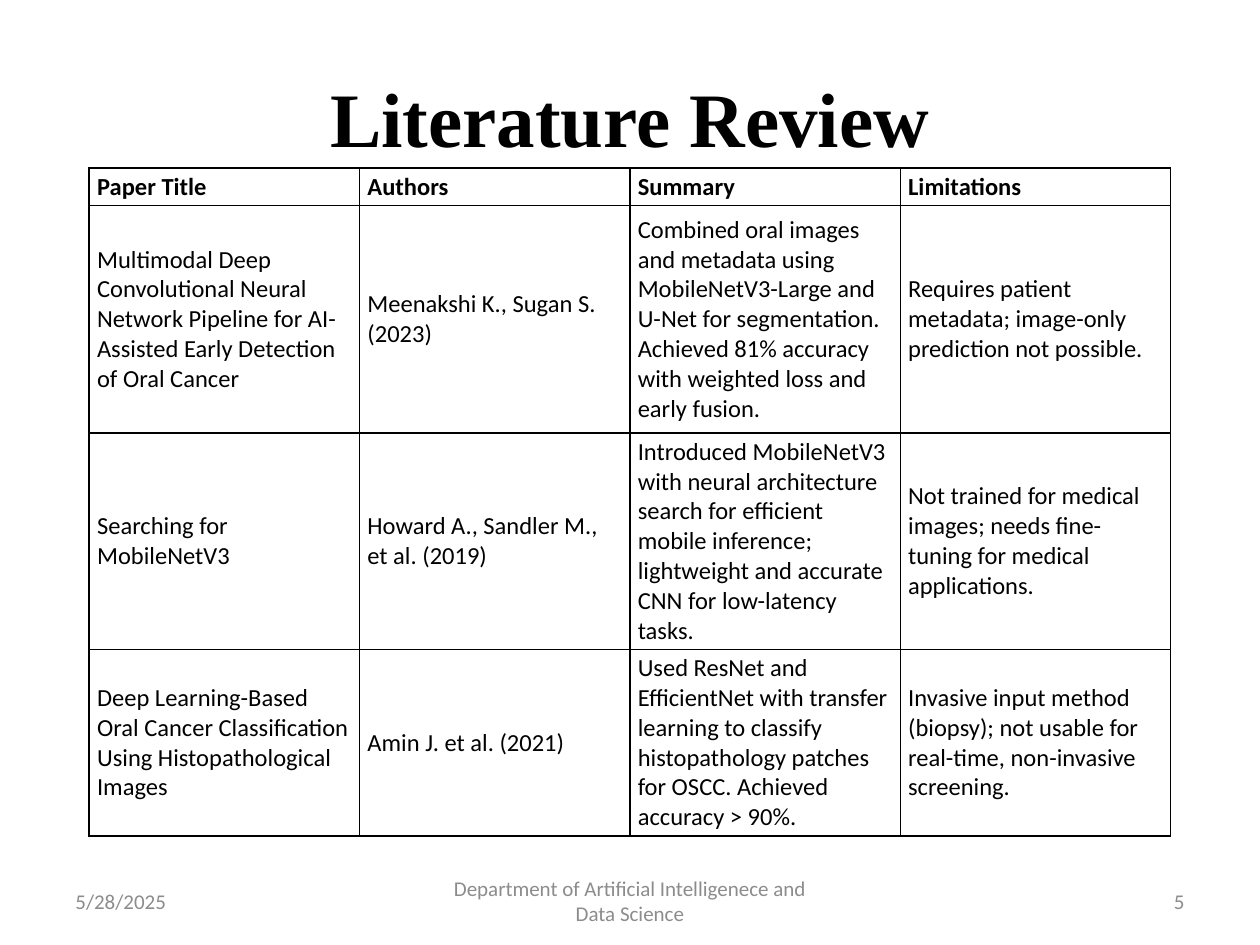
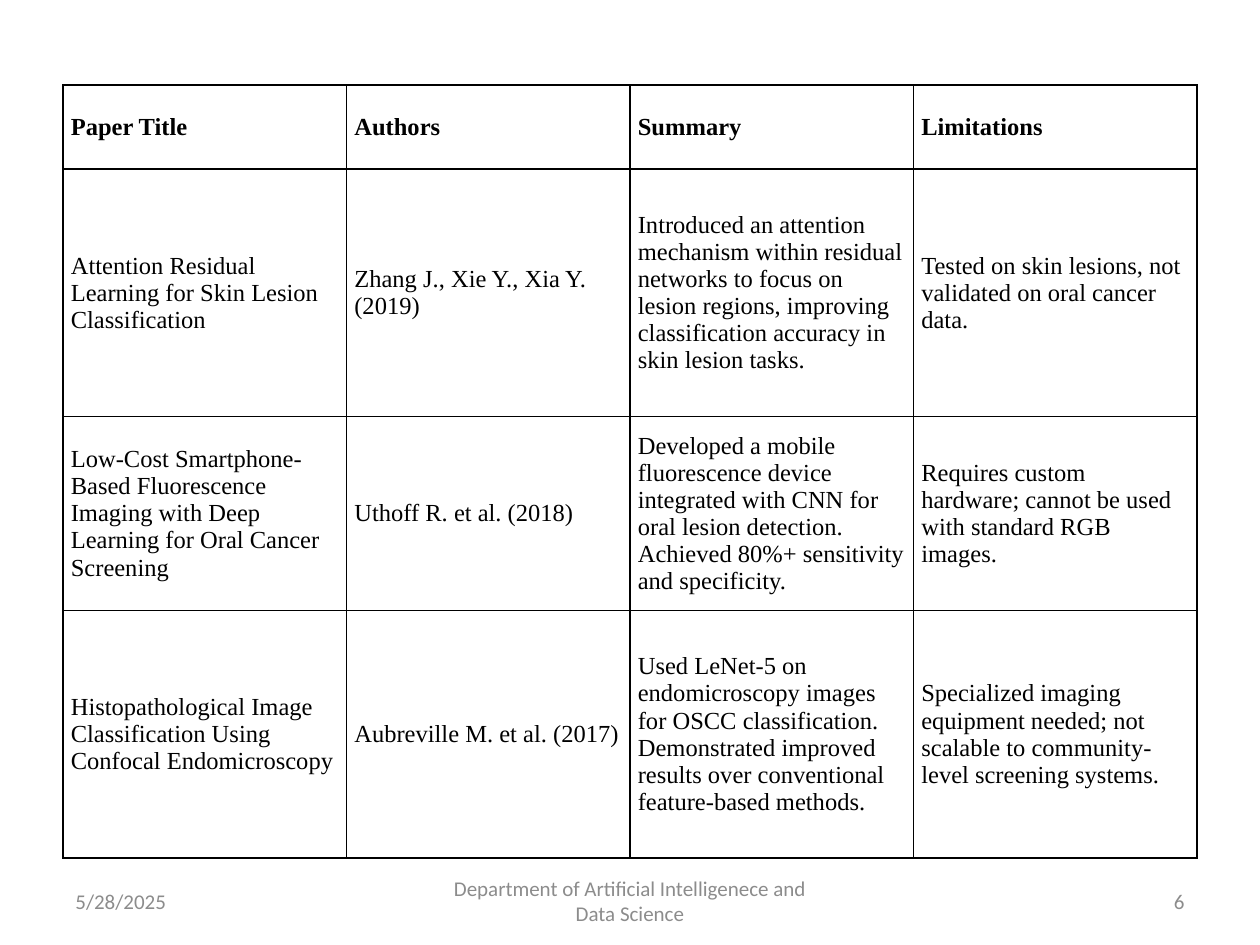
from lxml import etree
from pptx import Presentation
from pptx.dml.color import RGBColor
from pptx.enum.text import MSO_ANCHOR, PP_ALIGN
from pptx.oxml.ns import qn
from pptx.util import Pt

LEFT, CENTER, RIGHT = PP_ALIGN.LEFT, PP_ALIGN.CENTER, PP_ALIGN.RIGHT
MIDDLE = MSO_ANCHOR.MIDDLE
BLACK = RGBColor(0, 0, 0)
GRAY = RGBColor(0x8C, 0x8C, 0x8C)
SANS, SERIF = "Calibri", "Times New Roman"
TITLE_ONLY, BLANK = 5, 6

TITLE_FORMAT = {"size": Pt(44), "name": SERIF, "bold": True}
FOOTER_FORMAT = {"size": Pt(12), "name": SANS, "bold": False}
CELL_MARGINS = {"margin_left": Pt(4.5), "margin_right": Pt(4.5),
                "margin_top": Pt(2.2), "margin_bottom": Pt(2.2)}
HEADER = ("Paper Title", "Authors", "Summary", "Limitations")
DEPARTMENT = "Department of Artificial Intelligenece and Data Science"

SLIDES = [
    {
        "title": "Literature Review", "number": "5", "font": SANS,
        "left": 51, "top": 96, "col_width": 154.5,
        "row_heights": (21, 130, 123, 106),
        "papers": [
            ("Multimodal Deep Convolutional Neural Network Pipeline for AI-Assisted Early Detection of Oral Cancer",
             "Meenakshi K., Sugan S. (2023)",
             "Combined oral images and metadata using MobileNetV3-Large and U-Net for segmentation. "
             "Achieved 81% accuracy with weighted loss and early fusion.",
             "Requires patient metadata; image-only prediction not possible."),
            ("Searching for MobileNetV3",
             "Howard A., Sandler M., et al. (2019)",
             "Introduced MobileNetV3 with neural architecture search for efficient mobile inference; "
             "lightweight and accurate CNN for low-latency tasks.",
             "Not trained for medical images; needs fine-tuning for medical applications."),
            ("Deep Learning-Based Oral Cancer Classification Using Histopathological Images",
             "Amin J. et al. (2021)",
             "Used ResNet and EfficientNet with transfer learning to classify histopathology patches for OSCC. "
             "Achieved accuracy > 90%.",
             "Invasive input method (biopsy); not usable for real-time, non-invasive screening."),
        ],
    },
    {
        "title": None, "number": "6", "font": SERIF,
        "left": 36, "top": 48.7, "col_width": 162,
        "row_heights": (48, 141.3, 111, 141.3),
        "papers": [
            ("Attention Residual Learning for Skin Lesion Classification",
             "Zhang J., Xie Y., Xia Y. (2019)",
             "Introduced an attention mechanism within residual networks to focus on lesion regions, "
             "improving classification accuracy in skin lesion tasks.",
             "Tested on skin lesions, not validated on oral cancer data."),
            ("Low-Cost Smartphone-Based Fluorescence Imaging with Deep Learning for Oral Cancer Screening",
             "Uthoff R. et al. (2018)",
             "Developed a mobile fluorescence device integrated with CNN for oral lesion detection. "
             "Achieved 80%+ sensitivity and specificity.",
             "Requires custom hardware; cannot be used with standard RGB images."),
            ("Histopathological Image Classification Using Confocal Endomicroscopy",
             "Aubreville M. et al. (2017)",
             "Used LeNet-5 on endomicroscopy images for OSCC classification. "
             "Demonstrated improved results over conventional feature-based methods.",
             "Specialized imaging equipment needed; not scalable to community-level screening systems."),
        ],
    },
]


def write(tf, text, font_format, color, align):
    p = tf.paragraphs[0]
    p.alignment = align
    r = p.add_run()
    r.text = text
    for name, value in font_format.items():
        setattr(r.font, name, value)
    r.font.color.rgb = color


def add_borders(cell):
    tcPr = cell._tc.get_or_add_tcPr()
    for i, side in enumerate(("a:lnL", "a:lnR", "a:lnT", "a:lnB")):
        ln = etree.Element(qn(side), w=str(Pt(1)))
        fill = etree.SubElement(ln, qn("a:solidFill"))
        etree.SubElement(fill, qn("a:srgbClr"), val=str(BLACK))
        tcPr.insert(i, ln)


prs = Presentation()
prs.slide_width, prs.slide_height = Pt(720), Pt(540)

for data in SLIDES:
    layout = TITLE_ONLY if data["title"] else BLANK
    s = prs.slides.add_slide(prs.slide_layouts[layout])

    if data["title"]:
        sp = s.shapes.title
        sp.left, sp.top, sp.width, sp.height = Pt(36), Pt(21.6), Pt(648), Pt(90)
        sp.text_frame.vertical_anchor = MIDDLE
        write(sp.text_frame, data["title"], TITLE_FORMAT, BLACK, CENTER)

    rows = [HEADER] + data["papers"]
    heights = data["row_heights"]
    width = data["col_width"]
    table = s.shapes.add_table(len(rows), len(HEADER), Pt(data["left"]), Pt(data["top"]),
                               Pt(width * len(HEADER)), Pt(sum(heights))).table
    table.first_row = table.horz_banding = False
    for column in table.columns:
        column.width = Pt(width)
    for i, row in enumerate(rows):
        table.rows[i].height = Pt(heights[i])
        cell_format = {"size": Pt(14), "name": data["font"], "bold": i == 0}
        for j, text in enumerate(row):
            cell = table.cell(i, j)
            cell.fill.background()
            cell.vertical_anchor = MIDDLE
            for name, value in CELL_MARGINS.items():
                setattr(cell, name, value)
            write(cell.text_frame, text, cell_format, BLACK, LEFT)
            add_borders(cell)

    for left, width, text, align in ((36, 168, "5/28/2025", LEFT),
                                     (246, 228, DEPARTMENT, CENTER),
                                     (516, 168, data["number"], RIGHT)):
        tf = s.shapes.add_textbox(Pt(left), Pt(500.5), Pt(width), Pt(28.75)).text_frame
        tf.word_wrap = True
        tf.vertical_anchor = MIDDLE
        write(tf, text, FOOTER_FORMAT, GRAY, align)

prs.save("out.pptx")
